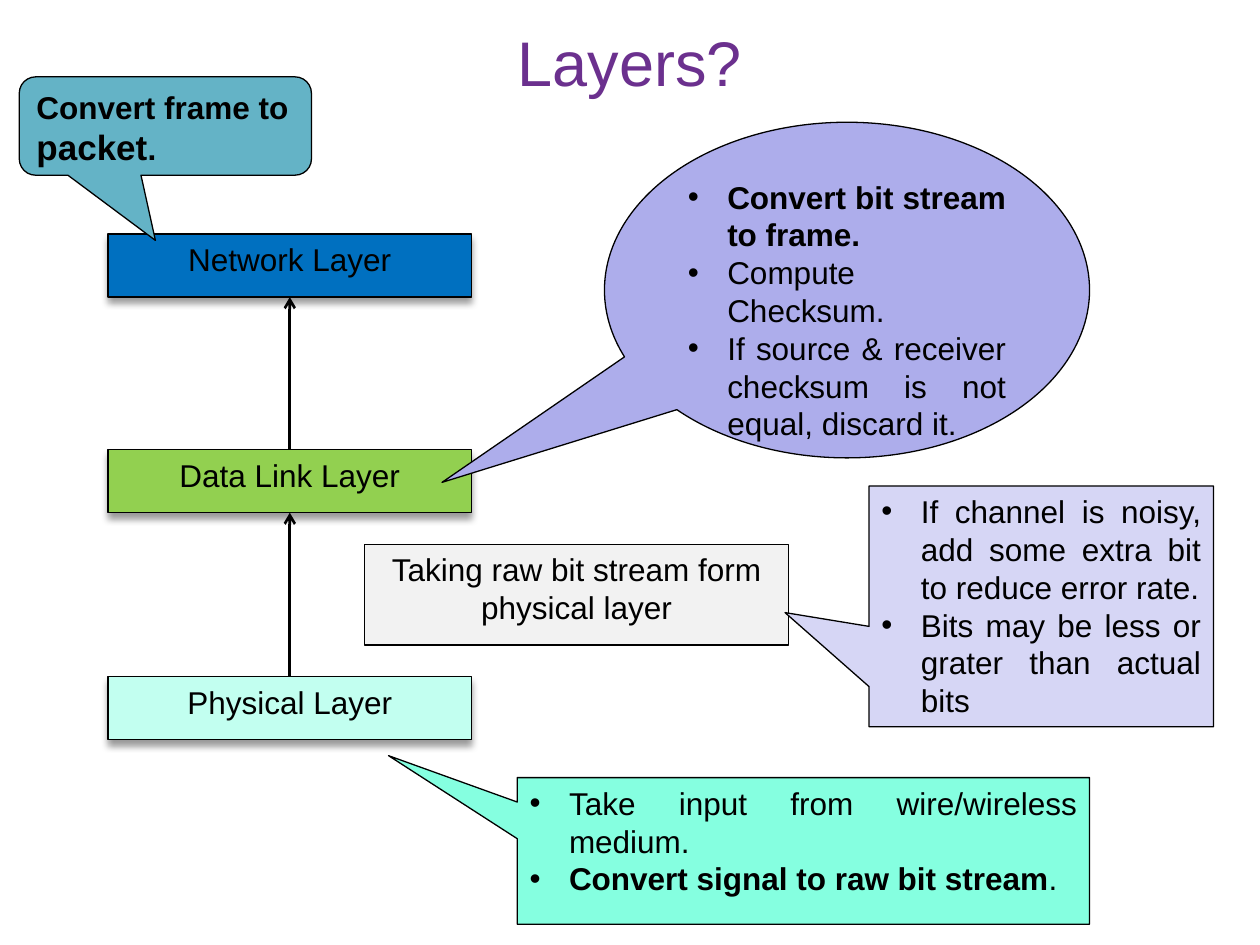
from lxml import etree
from pptx import Presentation
from pptx.dml.color import RGBColor
from pptx.enum.shapes import MSO_CONNECTOR, MSO_SHAPE
from pptx.enum.text import MSO_ANCHOR, PP_ALIGN
from pptx.oxml import parse_xml
from pptx.oxml.ns import nsdecls, qn
from pptx.util import Pt

RECT = MSO_SHAPE.RECTANGLE
RECT_CALLOUT = MSO_SHAPE.RECTANGULAR_CALLOUT
OVAL_CALLOUT = MSO_SHAPE.OVAL_CALLOUT
ROUND_CALLOUT = MSO_SHAPE.ROUNDED_RECTANGULAR_CALLOUT
STRAIGHT = MSO_CONNECTOR.STRAIGHT
LEFT, CENTER, JUSTIFY = PP_ALIGN.LEFT, PP_ALIGN.CENTER, PP_ALIGN.JUSTIFY
TOP, MIDDLE = MSO_ANCHOR.TOP, MSO_ANCHOR.MIDDLE
SIDE_TOP, SIDE_BOTTOM = 0, 2

FONT = "Arial"
BODY_SIZE = 18
BULLET_INDENT = 22.5
COLORS = {
    "title": "6B308E",
    "ink": "000000",
    "network": "0070C0",
    "data_link": "92D050",
    "physical": "C2FFF0",
    "raw_bits": "F2F2F2",
    "noise": "D6D6F5",
    "framing": "ADADEB",
    "signal": "85FFE0",
    "packet": "64B3C6",
}


def rgb(name):
    return RGBColor.from_string(COLORS[name])


def style_font(font, size=BODY_SIZE, bold=False, color="ink"):
    font.name = FONT
    font.size = Pt(size)
    font.bold = bold
    font.color.rgb = rgb(color)


def add_bullet(paragraph):
    properties = paragraph._p.get_or_add_pPr()
    properties.set("marL", str(Pt(BULLET_INDENT)))
    properties.set("indent", str(-Pt(BULLET_INDENT)))
    etree.SubElement(properties, qn("a:buFont")).set("typeface", FONT)
    etree.SubElement(properties, qn("a:buChar")).set("char", "•")


def write_paragraphs(frame, paragraphs, align, bulleted=False):
    """Each paragraph is a list of (text, bold, size) runs."""
    frame.word_wrap = True
    frame.vertical_anchor = TOP
    for index, parts in enumerate(paragraphs):
        paragraph = frame.paragraphs[0] if index == 0 else frame.add_paragraph()
        paragraph.alignment = align
        if bulleted:
            add_bullet(paragraph)
        for text, bold, size in parts:
            run = paragraph.add_run()
            run.text = text
            style_font(run.font, size, bold)


def add_panel(slide, kind, box, color):
    panel = slide.shapes.add_shape(kind, *map(Pt, box))
    panel.shadow.inherit = False
    panel.fill.solid()
    panel.fill.fore_color.rgb = rgb(color)
    panel.line.color.rgb = rgb("ink")
    panel.line.width = Pt(0.75)
    return panel


def add_label(slide, box, text, color):
    label = add_panel(slide, RECT, box, color)
    write_paragraphs(label.text_frame, [[(text, False, BODY_SIZE)]], CENTER)
    return label


def add_callout(slide, kind, box, color, pointer, paragraphs, align=JUSTIFY, bulleted=True):
    callout = add_panel(slide, kind, box, color)
    for index, value in enumerate(pointer):
        callout.adjustments[index] = value
    write_paragraphs(callout.text_frame, paragraphs, align, bulleted)


def add_drop_shadow(shape):
    effects = shape._element.spPr.find(qn("a:effectLst"))
    effects.append(parse_xml(
        f'<a:outerShdw {nsdecls("a")} blurRad="{Pt(4)}" dist="{Pt(3)}" dir="5400000" '
        'rotWithShape="0"><a:srgbClr val="000000"><a:alpha val="40000"/></a:srgbClr>'
        '</a:outerShdw>'))


def add_up_arrow(slide, lower, upper):
    arrow = slide.shapes.add_connector(STRAIGHT, 0, 0, 0, 0)
    arrow.begin_connect(lower, SIDE_TOP)
    arrow.end_connect(upper, SIDE_BOTTOM)
    arrow.line.color.rgb = rgb("ink")
    arrow.line.width = Pt(1.5)
    etree.SubElement(arrow.line._get_or_add_ln(), qn("a:tailEnd")).set("type", "arrow")
    etree.SubElement(arrow._element.spPr, qn("a:effectLst"))


def add_title(slide, box):
    title = slide.shapes.add_textbox(*map(Pt, box))
    frame = title.text_frame
    frame.word_wrap = True
    frame.vertical_anchor = MIDDLE
    frame.text = "Layers?"
    frame.paragraphs[0].alignment = CENTER
    style_font(frame.paragraphs[0].runs[0].font, 36, color="title")


def add_layer_stack(slide, box):
    left, top, width, height = box
    layer_height = 36
    layers = []
    for text, color, offset in (
        ("Network Layer", "network", 0),
        ("Data Link Layer", "data_link", 123.2),
        ("Physical Layer", "physical", height - layer_height),
    ):
        layer = add_label(slide, (left, top + offset, width, layer_height), text, color)
        add_drop_shadow(layer)
        layers.append(layer)
    for upper, lower in zip(layers, layers[1:]):
        add_up_arrow(slide, lower, upper)


def add_notes_on_layers(slide, box):
    left, top, width, height = box
    right, bottom = left + width, top + height

    # What the data link layer receives, and how it treats noise
    add_label(slide, (left + 197.2, top + 267.1, 242.6, 57.6),
              "Taking raw bit stream form physical layer", "raw_bits")
    add_callout(slide, RECT_CALLOUT, (right - 196.8, top + 233.8, 196.8, 137.6),
                "noise", (-0.744, 0.026), [
                    [("If channel is noisy, add some extra bit to reduce error rate.",
                      False, BODY_SIZE)],
                    [("Bits may be less or grater than actual bits", False, BODY_SIZE)],
                ])

    # Framing in the data link layer
    add_callout(slide, OVAL_CALLOUT, (left + 334.4, top + 26, 277.2, 191.8),
                "framing", (-0.835, 0.573), [
                    [("Convert bit stream to frame.", True, BODY_SIZE)],
                    [("Compute Checksum.", False, BODY_SIZE)],
                    [("If source & receiver checksum is not equal, discard it.",
                      False, BODY_SIZE)],
                ])

    # Signals in the physical layer
    add_callout(slide, RECT_CALLOUT, (left + 284.6, bottom - 83.8, 327, 83.8),
                "signal", (-0.725, -0.65), [
                    [("Take input from wire/wireless medium.", False, BODY_SIZE)],
                    [("Convert signal to raw bit stream", True, BODY_SIZE),
                     (".", False, BODY_SIZE)],
                ])

    # Packets in the network layer
    add_callout(slide, ROUND_CALLOUT, (left, top, 167, 56.2),
                "packet", (-0.034, 1.163, 0.167),
                [[("Convert frame to ", True, BODY_SIZE), ("packet", True, 20),
                  (".", True, BODY_SIZE)]], LEFT, False)


def main():
    presentation = Presentation()
    presentation.slide_width, presentation.slide_height = Pt(720), Pt(540)
    slide = presentation.slides.add_slide(presentation.slide_layouts[6])
    add_title(slide, (0, 0, 720, 70))
    add_layer_stack(slide, (61.8, 133.8, 207.6, 288.9))
    add_notes_on_layers(slide, (11, 43.9, 682.4, 484.3))
    presentation.save("out.pptx")


if __name__ == "__main__":
    main()
